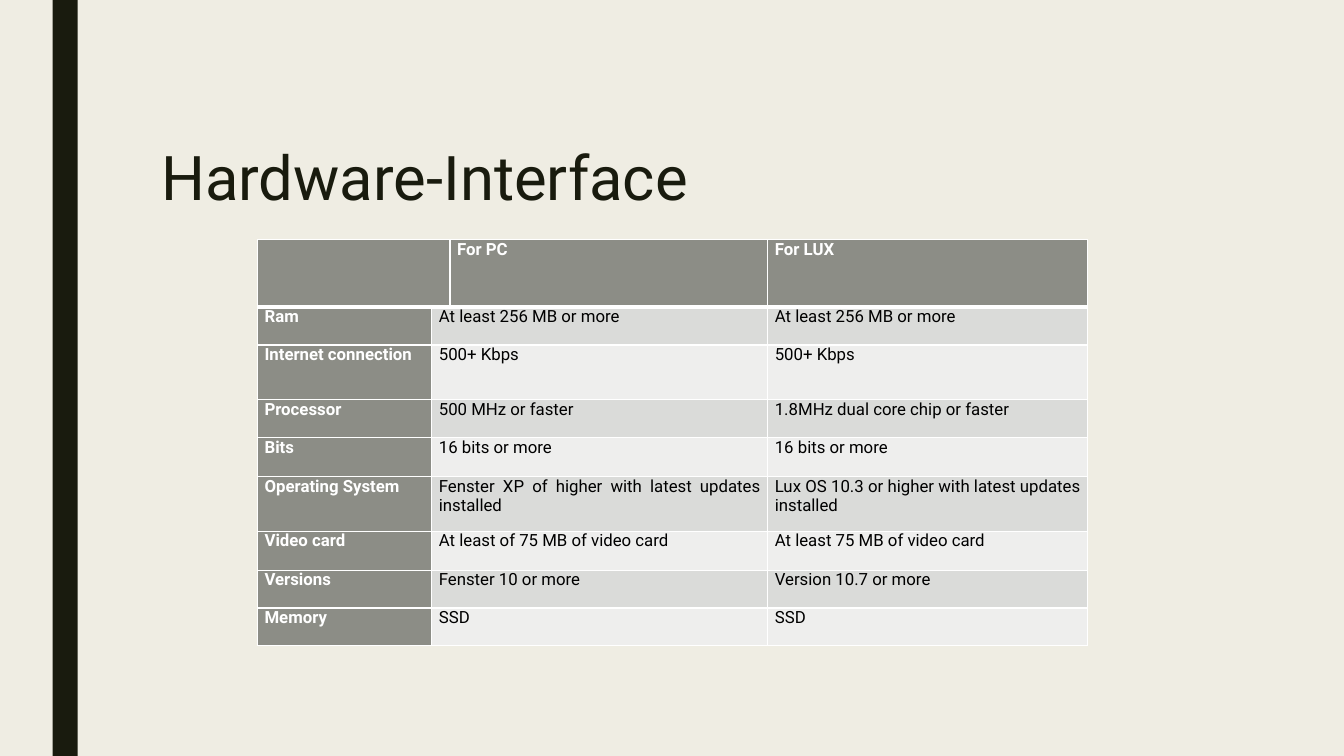
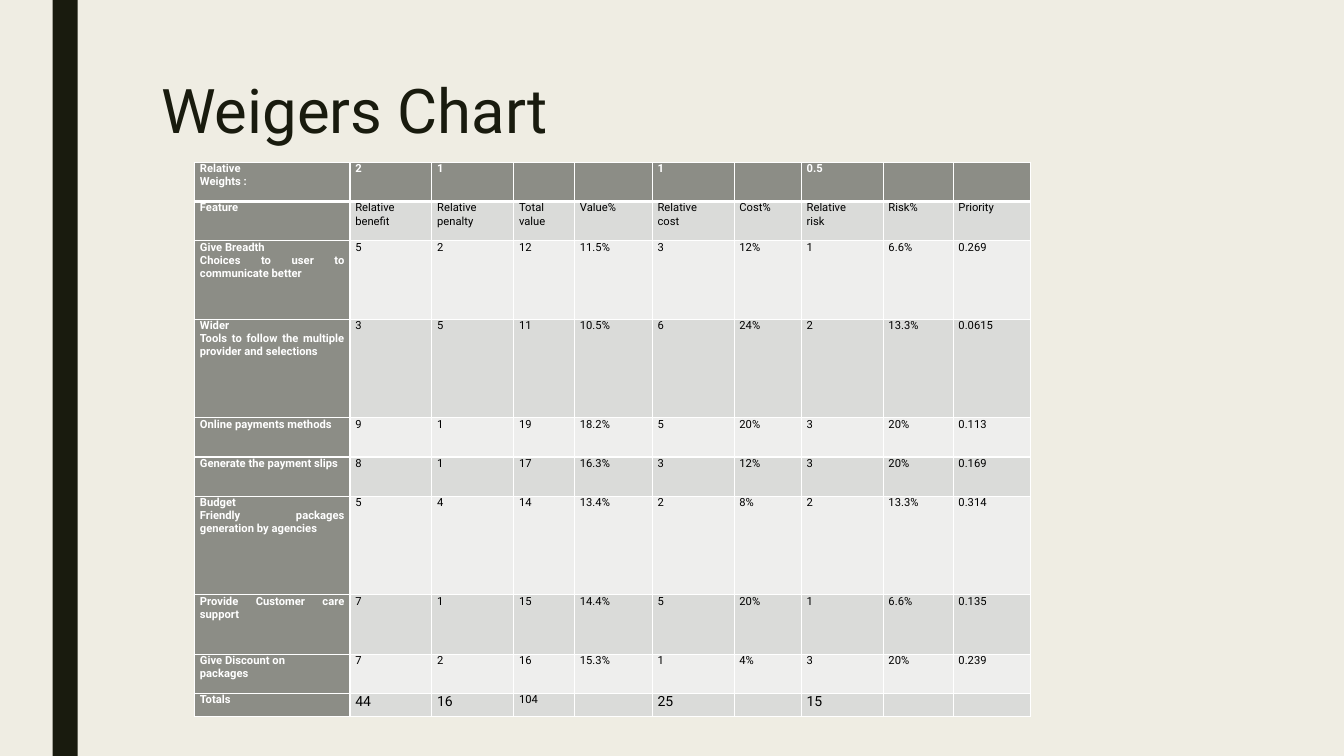
from dataclasses import dataclass

from lxml import etree
from pptx import Presentation
from pptx.dml.color import RGBColor
from pptx.enum import shapes, text
from pptx.oxml.ns import qn
from pptx.util import Pt


@dataclass(frozen=True)
class Theme:
    font: str = "Roboto"
    background: str = "EFEDE3"
    ink: str = "191B0E"
    header: str = "8C8D86"
    odd_row: str = "DADBD9"
    even_row: str = "EEEEED"
    light: str = "FFFFFF"
    dark: str = "000000"
    title_size: float = 44
    interface_size: float = 12
    weigers_size: float = 8
    totals_size: float = 10
    rule: float = 1
    header_rule: float = 3


THEME = Theme()


def write(frame, content, *, size, color, bold=False,
          align=text.PP_ALIGN.JUSTIFY, spacing=None):
    """Fill a text frame, one paragraph for each line of content."""
    frame.word_wrap = True
    frame.text = content
    for paragraph in frame.paragraphs:
        paragraph.alignment = align
        if spacing:
            paragraph.line_spacing = spacing
        for run in paragraph.runs:
            run.font.name = THEME.font
            run.font.size = Pt(size)
            run.font.bold = bold
            run.font.color.rgb = RGBColor.from_string(color)


def add_grid(slide, left, top, widths, heights, rows, *, size, inset,
             merges=(), sizes=None):
    """Add a table with header row and column; sizes maps (row, column) to a type size."""
    frame = slide.shapes.add_table(len(rows), len(widths), Pt(left), Pt(top),
                                   Pt(sum(widths)), Pt(sum(heights)))
    table = frame.table
    table.first_row = table.horz_banding = False
    for column, width in zip(table.columns, widths):
        column.width = Pt(width)
    for row, height in zip(table.rows, heights):
        row.height = Pt(height)
    for row, first, last in merges:
        table.cell(row, first).merge(table.cell(row, last))

    for index, (cell, tc) in enumerate(zip(table.iter_cells(), frame.element.iter(qn("a:tc")))):
        row, column = divmod(index, len(widths))
        is_header = row == 0 or column == 0
        cell.margin_left = cell.margin_right = Pt(inset)
        cell.margin_top = cell.margin_bottom = 0
        write(cell.text_frame, rows[row][column], size=(sizes or {}).get((row, column), size),
              color=THEME.light if is_header else THEME.dark, bold=is_header)
        for side in "LRTB":
            heavy = (row, side) in ((0, "B"), (1, "T"))
            line = etree.SubElement(tc.get_or_add_tcPr(), qn(f"a:ln{side}"),
                                    w=str(Pt(THEME.header_rule if heavy else THEME.rule)))
            fill = etree.SubElement(line, qn("a:solidFill"))
            etree.SubElement(fill, qn("a:srgbClr"), val=THEME.light)
        cell.fill.solid()
        band_color = THEME.odd_row if row % 2 else THEME.even_row
        cell.fill.fore_color.rgb = RGBColor.from_string(THEME.header if is_header else band_color)

    # Empty cells keep the small type size, so they do not stretch their row.
    for paragraph in frame.element.iter(qn("a:p")):
        if paragraph.find(qn("a:r")) is None:
            etree.SubElement(paragraph, qn("a:endParaRPr"), sz=str(size * 100))


prs = Presentation()
prs.slide_width, prs.slide_height = Pt(960), Pt(540)
layout = prs.slide_layouts[5]

# Shared look: background, title place and the dark band
layout.background.fill.solid()
layout.background.fill.fore_color.rgb = RGBColor.from_string(THEME.background)
title_place = layout.placeholders[0]
title_place.left, title_place.top = Pt(108), Pt(54)
title_place.width, title_place.height = Pt(756), Pt(116.5)

interface_slide = prs.slides.add_slide(layout)
weigers_slide = prs.slides.add_slide(layout)

band = interface_slide.shapes.add_shape(shapes.MSO_SHAPE.RECTANGLE, Pt(37.5), 0, Pt(18), Pt(540))
band.shadow.inherit = False
band.fill.solid()
band.fill.fore_color.rgb = RGBColor.from_string(THEME.ink)
band.line.fill.background()
layout.shapes.element.insert(2, band.element)

for slide, heading, space_above in ((interface_slide, "Hardware-Interface", 51.5),
                                    (weigers_slide, "Weigers Chart", 3.6)):
    title = slide.shapes.title.text_frame
    title.auto_size = text.MSO_AUTO_SIZE.NONE
    title.vertical_anchor = text.MSO_ANCHOR.TOP
    title.margin_top = Pt(space_above)
    write(title, heading, size=THEME.title_size, color=THEME.ink,
          align=text.PP_ALIGN.LEFT, spacing=0.89)

# Hardware-Interface
requirements = [
    ("Ram", "At least 256 MB or more", "At least 256 MB or more"),
    ("Internet connection", "500+ Kbps", "500+ Kbps"),
    ("Processor", "500 MHz or faster", "1.8MHz dual core chip or faster"),
    ("Bits", "16 bits or more", "16 bits or more"),
    ("Operating System", "Fenster XP of higher with latest updates installed",
     "Lux OS 10.3 or higher with latest updates installed"),
    ("Video card", "At least of 75 MB of video card", "At least 75 MB of video card"),
    ("Versions", "Fenster 10 or more", "Version 10.7 or more"),
    ("Memory", "SSD", "SSD"),
]
interface_rows = [("", "", "For PC", "For LUX")]
interface_rows += [(part, pc, "", lux) for part, pc, lux in requirements]
interface_merges = [(0, 0, 1)] + [(row, 1, 2) for row in range(1, len(interface_rows))]
add_grid(interface_slide, 184, 171, [124.5, 13, 227, 228.5],
         [48.5, 27, 39, 27, 28, 39, 28, 27, 27], interface_rows,
         size=THEME.interface_size, inset=5, merges=interface_merges)

# Weigers Chart
weigers_rows = [
    ("Relative\nWeights :", "2", "1", "", "", "1", "", "0.5", "", ""),
    ("Feature", "Relative\nbenefit", "Relative\npenalty", "Total\nvalue", "Value%",
     "Relative\ncost", "Cost%", "Relative\nrisk", "Risk%", "Priority"),
    ("Give Breadth\nChoices to user to communicate better",
     "5", "2", "12", "11.5%", "3", "12%", "1", "6.6%", "0.269"),
    ("Wider\nTools to follow the multiple provider and selections",
     "3", "5", "11", "10.5%", "6", "24%", "2", "13.3%", "0.0615"),
    ("Online payments methods", "9", "1", "19", "18.2%", "5", "20%", "3", "20%", "0.113"),
    ("Generate the payment slips", "8", "1", "17", "16.3%", "3", "12%", "3", "20%", "0.169"),
    ("Budget\nFriendly packages generation by agencies",
     "5", "4", "14", "13.4%", "2", "8%", "2", "13.3%", "0.314"),
    ("Provide Customer care support",
     "7", "1", "15", "14.4%", "5", "20%", "1", "6.6%", "0.135"),
    ("Give Discount on\npackages", "7", "2", "16", "15.3%", "1", "4%", "3", "20%", "0.239"),
    ("Totals", "44", "16", "104", "", "25", "", "15", "", ""),
]
totals_row = len(weigers_rows) - 1
add_grid(weigers_slide, 139, 116, [111, 58.5, 58.5, 43.5, 55.5, 58.5, 48, 58.5, 50, 55.5],
         [28, 28, 56, 70.5, 28, 28, 70.5, 42.5, 28, 16.5], weigers_rows,
         size=THEME.weigers_size, inset=3.8,
         sizes={(totals_row, column): THEME.totals_size for column in (1, 2, 5, 7)})

prs.save("out.pptx")
